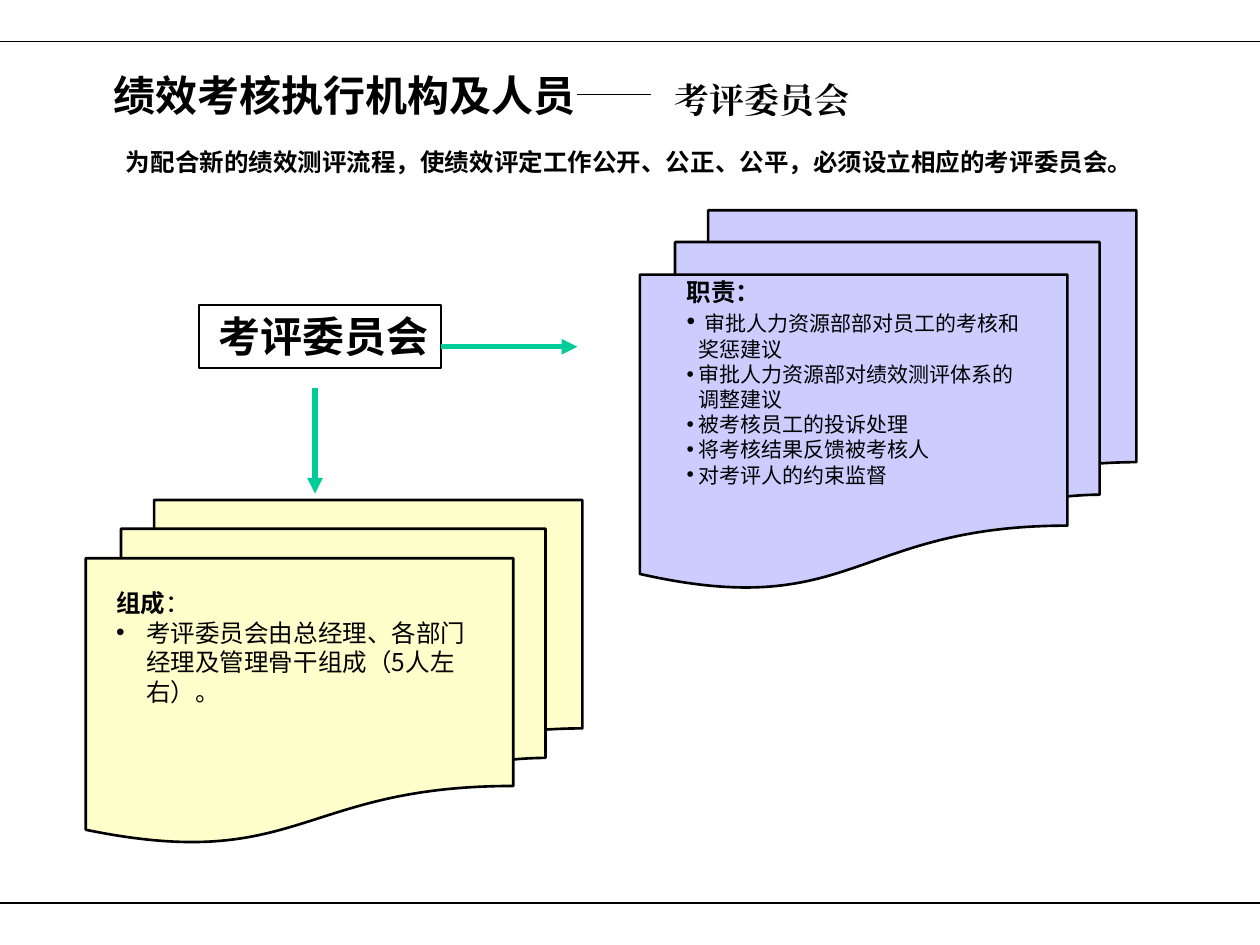
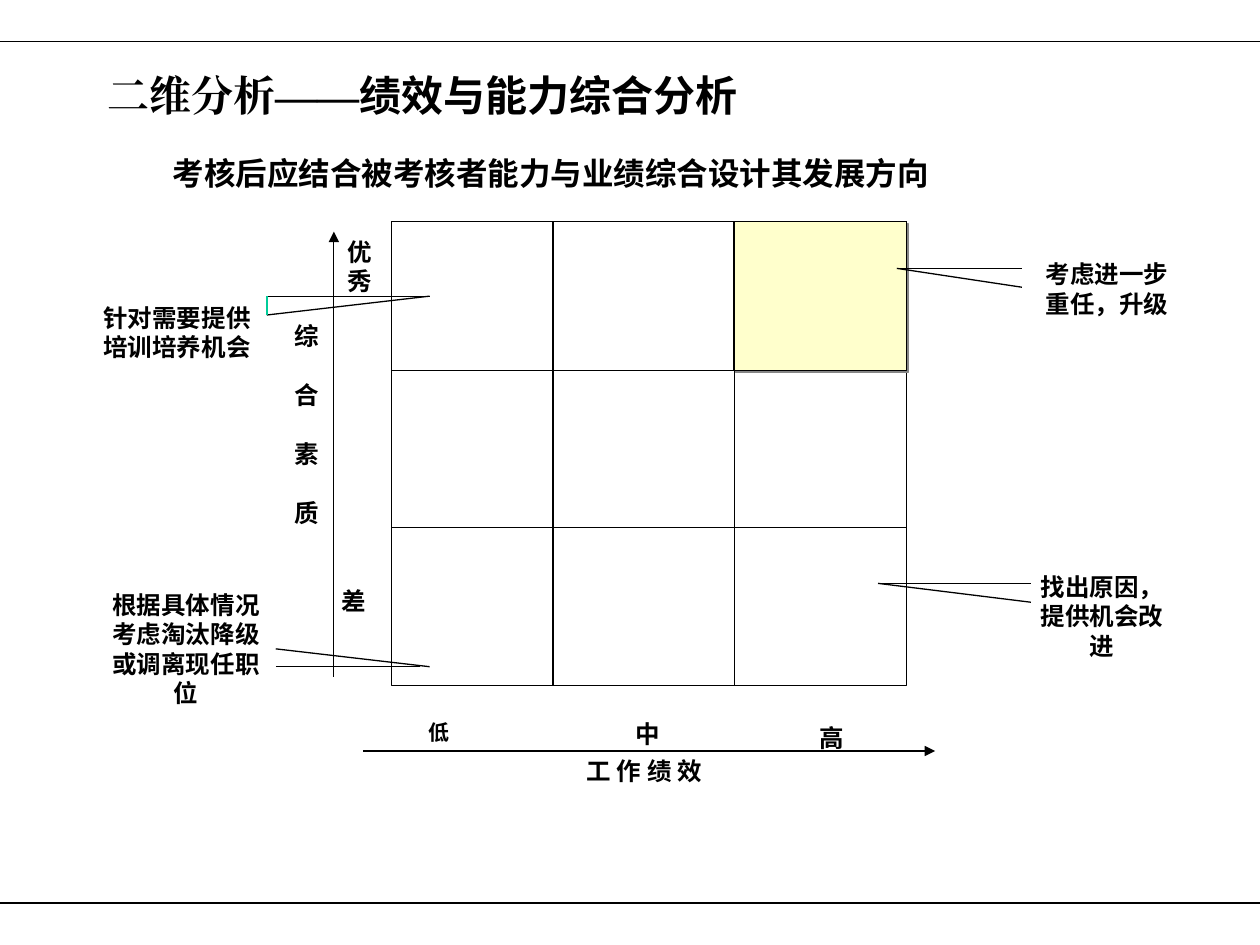
from lxml import etree
from pptx import Presentation
from pptx.dml.color import RGBColor
from pptx.enum.shapes import MSO_CONNECTOR, MSO_SHAPE
from pptx.enum.text import MSO_ANCHOR, PP_ALIGN
from pptx.oxml.ns import qn
from pptx.util import Cm, Pt

BLACK = RGBColor(0x00, 0x00, 0x00)
GREEN = RGBColor(0x00, 0xCC, 0x99)
LILAC = RGBColor(0xCC, 0xCC, 0xFF)
CREAM = RGBColor(0xFF, 0xFF, 0xCC)
SHADOW = RGBColor(0x86, 0x86, 0x86)
SANS = "Noto Sans CJK SC"
SERIF = "Times New Roman"

SLIDE_WIDTH, SLIDE_HEIGHT = 25.4, 19.05
BAND_LINES = [(0.84, 0.75), (18.2, 1)]  # height on the slide, line width
TITLE_INSETS = (0.25, 0.13)

# Slide 1: all places are left, top, width, height in cm
COMMITTEE = "考评委员会"
COMMITTEE_TITLE = "绩效考核执行机构及人员"
COMMITTEE_INTRO = "为配合新的绩效测评流程，使绩效评定工作公开、公正、公平，必须设立相应的考评委员会。"
DOCUMENTS = [
    {
        "stack": (12.9, 4.24, 10.01, 7.62), "fill": LILAC,
        "text": (13.84, 5.59, 6.75, 4.8), "indent": 0.25,
        "heading": [("职责：", 14, True)],
        "bullets": [
            [(" ", 14, False), ("审批人力资源部部对员工的考核和奖惩建议", 12, False)],
            [("审批人力资源部对绩效测评体系的调整建议", 12, False)],
            [("被考核员工的投诉处理", 12, False)],
            [("将考核结果反馈被考核人", 12, False)],
            [("对考评人的约束监督", 12, False)],
        ],
    },
    {
        "stack": (1.73, 10.08, 10.01, 6.91), "fill": CREAM,
        "text": (2.34, 11.86, 7.44, 2.36), "indent": 0.61,
        "heading": [("组成", 14, True), ("：", 14, False)],
        "bullets": [[("考评委员会由总经理、各部门经理及管理骨干组成（5人左右）。", 14, False)]],
    },
]
COMMITTEE_ARROWS = [((8.89, 6.99), (11.64, 6.99)), ((6.35, 7.83), (6.35, 9.95))]

# Slide 2
ANALYSIS_TITLE = [("二维分析——", 24, True, SERIF), ("绩效与能力综合分析", 24, True, SANS)]
ANALYSIS_INTRO = "考核后应结合被考核者能力与业绩综合设计其发展方向"
COLUMN_EDGES = [7.9, 11.15, 14.8, 18.27]
ROW_EDGES = [4.47, 7.47, 10.64, 13.82]
AXES = [((6.73, 13.64), (6.73, 4.67)), ((7.32, 15.14), (18.85, 15.14))]
AXIS_LABELS = [  # text, centre, top, width, size
    ("优秀", 7.25, 4.78, 0.64, 14),
    ("低", 8.85, 14.5, 0.6, 12),
    ("中", 13.06, 14.5, 0.6, 14),
    ("高", 16.77, 14.58, 0.6, 14),
    ("工 作 绩 效", 12.99, 15.24, 5.2, 14),
]
QUALITY_AXIS = "综合素质"
CALLOUTS = [  # lines, place, pointer strokes
    (["针对需要提供", "培训培养机会"], (1.93, 6.1, 3.28, 1.78),
     [((5.38, 5.97), (8.66, 5.97)), ((5.38, 6.35), (8.66, 5.97))]),
    (["根据具体情况考虑淘汰降级或调离现任职位"], (2.11, 11.89, 3.28, 2.36),
     [((5.56, 13.44), (8.46, 13.44)), ((5.56, 13.08), (8.66, 13.44))]),
    (["找出原因，提供机会改进"], (20.78, 11.53, 2.87, 1.78),
     [((20.78, 11.76), (17.7, 11.76)), ((20.78, 12.14), (17.7, 11.76))]),
    (["考虑进一步重任，升级"], (20.98, 5.23, 2.67, 1.19),
     [((20.6, 5.41), (18.08, 5.41)), ((20.6, 5.79), (18.08, 5.41))]),
]


def lengths(values):
    return [Cm(value) for value in values]


def add_line(slide, start, end, color=BLACK, width=0.75, arrow=False):
    line = slide.shapes.add_connector(MSO_CONNECTOR.STRAIGHT, *lengths(start + end))
    line.line.color.rgb = color
    line.line.width = Pt(width)
    properties = line.element.spPr
    if arrow:
        etree.SubElement(properties.find(qn("a:ln")), qn("a:tailEnd"), type="triangle")
    etree.SubElement(properties, qn("a:effectLst"))


def add_figure(slide, preset, place, fill=None, width=0.75):
    figure = slide.shapes.add_shape(preset, *lengths(place))
    figure.shadow.inherit = False
    if fill is None:
        figure.fill.background()
    else:
        figure.fill.solid()
        figure.fill.fore_color.rgb = fill
    figure.line.color.rgb = BLACK
    figure.line.width = Pt(width)
    return figure


def write(frame, paragraphs, align=PP_ALIGN.LEFT, insets=(0, 0)):
    """Fill a frame; each paragraph is a list of (text, size, bold[, font]) runs."""
    frame.word_wrap = True
    frame.vertical_anchor = MSO_ANCHOR.TOP
    frame.margin_left = frame.margin_right = Cm(insets[0])
    frame.margin_top = frame.margin_bottom = Cm(insets[1])
    for number, runs in enumerate(paragraphs):
        paragraph = frame.add_paragraph() if number else frame.paragraphs[0]
        paragraph.alignment = align
        for text, size, bold, *font in runs:
            run = paragraph.add_run()
            run.text = text
            run.font.size = Pt(size)
            run.font.bold = bold
            run.font.color.rgb = BLACK
            run.font.name = font[0] if font else SANS
            east_asian = etree.Element(qn("a:ea"), typeface=run.font.name)
            run.font._element.find(qn("a:latin")).addnext(east_asian)


def add_text(slide, place, paragraphs, **layout):
    frame = slide.shapes.add_textbox(*lengths(place)).text_frame
    write(frame, paragraphs, **layout)
    return frame


def add_bullet(paragraph, indent):
    properties = paragraph._p.get_or_add_pPr()
    properties.set("marL", str(Cm(indent)))
    properties.set("indent", str(-Cm(indent)))
    etree.SubElement(properties, qn("a:buFont"), typeface="Arial")
    etree.SubElement(properties, qn("a:buChar"), char="•")


def offset_shadow():
    effects = etree.Element(qn("a:effectLst"))
    shadow = etree.SubElement(effects, qn("a:outerShdw"), dist=str(Pt(1.4)), dir="2700000", algn="ctr")
    etree.SubElement(shadow, qn("a:srgbClr"), val=str(SHADOW))
    return effects


def add_slide(deck, title_runs, title_place):
    """Start a slide with the shared band lines and title."""
    slide = deck.slides.add_slide(deck.slide_layouts[6])
    for height, width in BAND_LINES:
        add_line(slide, (0, height), (SLIDE_WIDTH, height), width=width)
    add_text(slide, title_place, [title_runs], insets=TITLE_INSETS)
    return slide


def build_committee(deck):
    slide = add_slide(deck, [(COMMITTEE_TITLE, 24, True)], (2.03, 1.27, 10, 1.27))
    add_line(slide, (11.64, 1.91), (13.12, 1.91))
    add_text(slide, (13.34, 1.45, 7.83, 1.12), [[(COMMITTEE, 20, True, SERIF)]], insets=TITLE_INSETS)
    add_text(slide, (2.54, 2.97, 20.6, 0.6), [[(COMMITTEE_INTRO, 14, True)]])

    committee = add_figure(slide, MSO_SHAPE.RECTANGLE, (4.01, 6.15, 4.88, 1.27))
    write(committee.text_frame, [[(COMMITTEE, 24, True)]], align=PP_ALIGN.CENTER, insets=(0, 0.1))
    committee.text_frame.margin_left = Cm(0.15)
    for start, end in COMMITTEE_ARROWS:
        add_line(slide, start, end, GREEN, 3, arrow=True)

    for document in DOCUMENTS:
        add_figure(slide, MSO_SHAPE.FLOWCHART_MULTIDOCUMENT, document["stack"], document["fill"], 1.5)
        frame = add_text(slide, document["text"], [document["heading"], *document["bullets"]])
        for paragraph in frame.paragraphs[1:]:
            add_bullet(paragraph, document["indent"])


def build_analysis(deck):
    slide = add_slide(deck, ANALYSIS_TITLE, (1.91, 1.27, 16.08, 1.27))
    add_text(slide, (3.48, 3.1, 19.5, 0.76), [[(ANALYSIS_INTRO, 18, True)]])

    left, right = COLUMN_EDGES[0], COLUMN_EDGES[-1]
    top, bottom = ROW_EDGES[0], ROW_EDGES[-1]
    add_figure(slide, MSO_SHAPE.RECTANGLE, (left, top, right - left, bottom - top))
    for y in ROW_EDGES[1:-1]:
        add_line(slide, (left, y), (right, y))
    for x in COLUMN_EDGES[1:-1]:
        add_line(slide, (x, top), (x, bottom))
    best_left, best_bottom = COLUMN_EDGES[-2], ROW_EDGES[1]
    best = add_figure(slide, MSO_SHAPE.RECTANGLE,
                      (best_left, top, right - best_left, best_bottom - top), CREAM)
    properties = best.element.spPr
    properties.replace(properties.find(qn("a:effectLst")), offset_shadow())

    for start, end in AXES:
        add_line(slide, start, end, arrow=True)
    for text, centre, label_top, width, size in AXIS_LABELS:
        add_text(slide, (centre - width / 2, label_top, width, 0.6), [[(text, size, True)]],
                 align=PP_ALIGN.CENTER)
    quality = add_text(slide, (5.88, 6.48, 0.6, 4.14), [[(sign, 14, True)] for sign in QUALITY_AXIS],
                       align=PP_ALIGN.CENTER)
    for paragraph in quality.paragraphs[1:]:
        paragraph.space_before = Pt(16.8)
    poor = add_text(slide, (6.84, 11.81, 0.6, 0.6), [[("差", 14, True)]], align=PP_ALIGN.CENTER)
    poor_font = poor.paragraphs[0].runs[0].font
    poor_font._element.find(qn("a:solidFill")).addnext(offset_shadow())

    for lines, place, strokes in CALLOUTS:
        add_text(slide, place, [[(line, 14, True)] for line in lines], align=PP_ALIGN.CENTER)
        for start, end in strokes:
            add_line(slide, start, end)
    add_line(slide, (5.38, 5.97), (5.38, 6.35), GREEN)


def main():
    deck = Presentation()
    deck.slide_width, deck.slide_height = Cm(SLIDE_WIDTH), Cm(SLIDE_HEIGHT)
    build_committee(deck)
    build_analysis(deck)
    deck.save("out.pptx")


if __name__ == "__main__":
    main()
